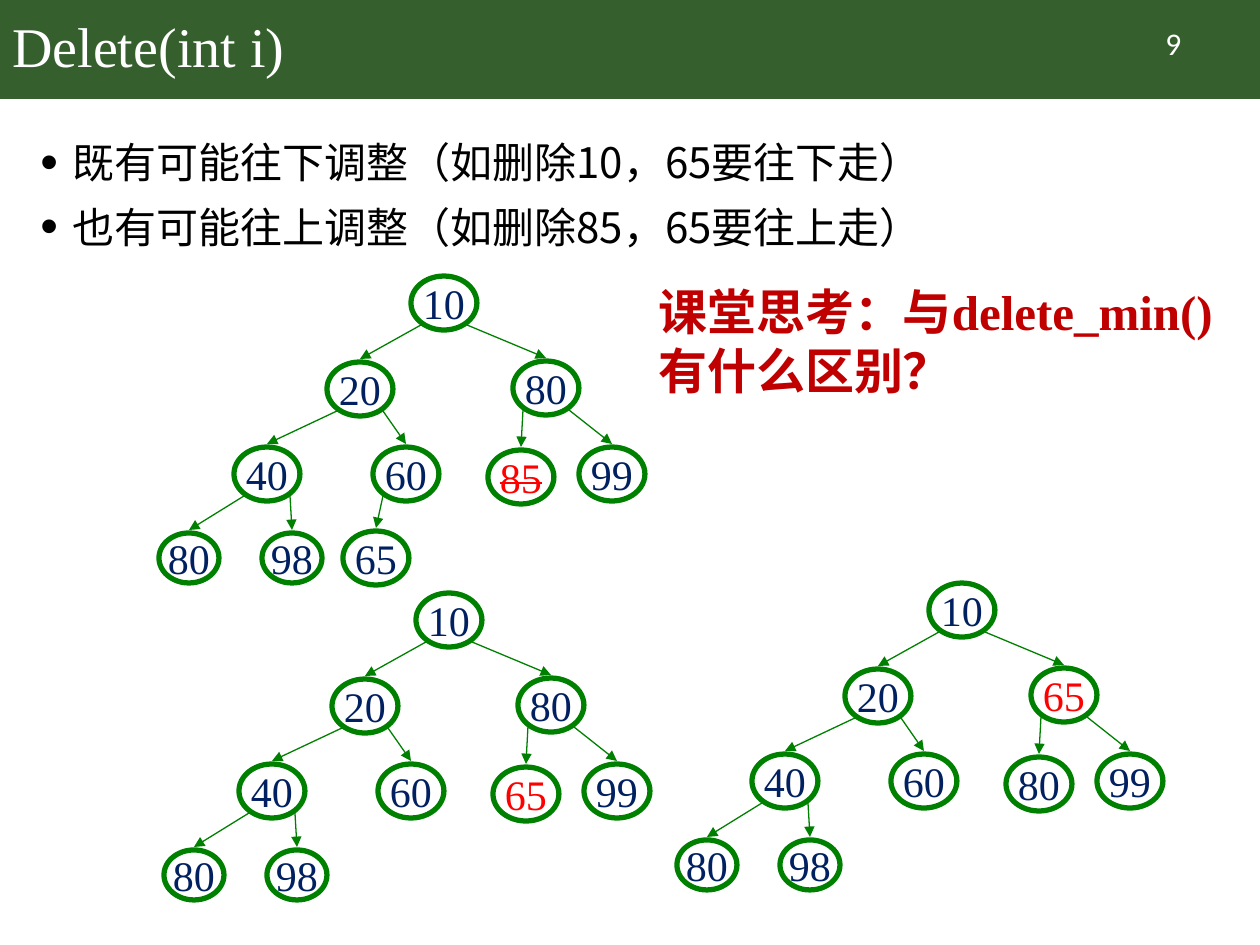
import pptx
import pptx.dml.color
import pptx.enum.shapes
import pptx.enum.text
import pptx.oxml.ns
import pptx.util
from lxml import etree

SCALE = 914400 / 126
HEADER_GREEN = pptx.dml.color.RGBColor(0x36, 0x5F, 0x2E)
NODE_GREEN = pptx.dml.color.RGBColor(0x00, 0x80, 0x00)
NAVY = pptx.dml.color.RGBColor(0x00, 0x20, 0x60)
RED = pptx.dml.color.RGBColor(0xFF, 0x00, 0x00)
DARK_RED = pptx.dml.color.RGBColor(0xC0, 0x00, 0x00)
BLACK = pptx.dml.color.RGBColor(0x00, 0x00, 0x00)
WHITE = pptx.dml.color.RGBColor(0xFF, 0xFF, 0xFF)
SERIF = "Times New Roman"
CJK = "Noto Sans CJK SC"
CENTER = pptx.enum.text.PP_ALIGN.CENTER
MIDDLE = pptx.enum.text.MSO_ANCHOR.MIDDLE

NODE_SIZE = (66, 54)
LEAF_SIZE = (60, 50)
SLOTS = {
    "root": (252, 0, NODE_SIZE),
    "left": (168, 86, NODE_SIZE),
    "right": (354, 85, NODE_SIZE),
    "left.left": (75, 171, NODE_SIZE),
    "left.right": (214, 171, NODE_SIZE),
    "right.left": (329, 174, NODE_SIZE),
    "right.right": (420, 171, NODE_SIZE),
    "left.left.left": (0, 257, LEAF_SIZE),
    "left.left.right": (103, 257, LEAF_SIZE),
    "left.right.left": (184, 255, NODE_SIZE),
}
FULL_HEAP = dict(zip(SLOTS, (10, 20, 80, 40, 60, 85, 99, 80, 98, 65)))
MOVED_HEAP = {slot: key for slot, key in FULL_HEAP.items() if slot != "left.right.left"}
MOVED_HEAP["right.left"] = 65
FINAL_HEAP = {**MOVED_HEAP, "right": 65, "right.left": 80}


def px(*lengths):
    """Turn pixel lengths into EMU."""
    return [pptx.util.Emu(round(length * SCALE)) for length in lengths]


def add_element(parent, tag, **attributes):
    """Append a DrawingML element to a parent."""
    element = etree.SubElement(parent, pptx.oxml.ns.qn(tag))
    for name, value in attributes.items():
        element.set(name, value)
    return element


def style(para, size, color, font=SERIF, bold=False):
    """Set the font of a whole paragraph."""
    para.font.size = pptx.util.Pt(size)
    para.font.bold = bold
    para.font.color.rgb = color
    para.font.name = font
    add_element(para._p.pPr.find(pptx.oxml.ns.qn("a:defRPr")), "a:ea", typeface=CJK)


def add_text(page, box, text, size, color, font=SERIF, bold=False):
    """Add a wrapped text box with one paragraph and return its frame."""
    frame = page.shapes.add_textbox(*px(*box)).text_frame
    frame.word_wrap = True
    frame.text = text
    style(frame.paragraphs[0], size, color, font, bold)
    return frame


def add_header(page, box, title, number):
    """Draw the title band with its page number."""
    left, top, width, height = box
    band = page.shapes.add_shape(pptx.enum.shapes.MSO_SHAPE.RECTANGLE, *px(*box))
    band.shadow.inherit = False
    band.fill.solid()
    band.fill.fore_color.rgb = HEADER_GREEN
    band.line.fill.background()
    frame = add_text(page, (left, top, width - 174, height), title, 32, WHITE)
    frame.vertical_anchor = MIDDLE
    frame.paragraphs[0].line_spacing = 0.9
    frame = add_text(page, (left + width - 162, top + 18, 151, 50), number, 18, WHITE, "Calibri")
    frame.paragraphs[0].alignment = CENTER


def add_bullets(page, box, lines):
    """Write the bulleted statements."""
    frame = page.shapes.add_textbox(*px(*box)).text_frame
    frame.word_wrap = True
    frame.text = "\n".join(lines)
    for para in frame.paragraphs:
        para.line_spacing = pptx.util.Pt(37)
        properties = para._p.get_or_add_pPr()
        indent, = px(32)
        properties.set("marL", str(indent))
        properties.set("indent", str(-indent))
        add_element(properties, "a:buSzPct", val="120000")
        add_element(properties, "a:buFont", typeface="Arial")
        add_element(properties, "a:buChar", char="•")
        style(para, 24, BLACK, CJK)


def add_node(page, box, key, color, struck):
    """Draw one ringed heap key."""
    node = page.shapes.add_shape(pptx.enum.shapes.MSO_SHAPE.OVAL, *px(*box))
    node.shadow.inherit = False
    node.fill.background()
    node.line.color.rgb = NODE_GREEN
    node.line.width = pptx.util.Pt(3)
    frame = node.text_frame
    frame.word_wrap = False
    frame.vertical_anchor = MIDDLE
    frame.text = str(key)
    para = frame.paragraphs[0]
    para.alignment = CENTER
    style(para, 24, color)
    if struck:
        para.runs[0].font._element.set("strike", "sngStrike")


def add_edge(page, start, end):
    """Draw an arrow from a parent to a child."""
    edge = page.shapes.add_connector(
        pptx.enum.shapes.MSO_CONNECTOR.STRAIGHT, *px(*start, *end))
    edge.line.color.rgb = NODE_GREEN
    edge.line.width = pptx.util.Pt(0.75)
    add_element(edge.line._get_or_add_ln(), "a:tailEnd", type="triangle")
    add_element(edge._element.spPr, "a:effectLst")


def add_heap(page, origin, heap, red_slot, struck=False):
    """Draw a heap whose slots are offsets from its origin."""
    left, top = origin
    for slot, key in heap.items():
        x, y, (width, height) = SLOTS[slot]
        is_red = slot == red_slot
        add_node(page, (left + x, top + y, width, height), key,
                 RED if is_red else NAVY, struck and is_red)
        if slot == "root":
            continue
        parent, _, side = slot.rpartition(".")
        parent_x, parent_y, _ = SLOTS[parent or "root"]
        start_x = parent_x + (10 if side == "left" else 56)
        add_edge(page, (left + start_x, top + parent_y + 49),
                 (left + x + width / 2, top + y - 3))


def main():
    """Build and save the slide."""
    deck = pptx.Presentation()
    deck.slide_width, deck.slide_height = px(1260, 945)
    page = deck.slides.add_slide(deck.slide_layouts[6])
    add_header(page, (0, 0, 1260, 99), "Delete(int i)", "9")
    add_bullets(page, (28, 116, 1206, 150), [
        "既有可能往下调整（如删除10，65要往下走）",
        "也有可能往上调整（如删除85，65要往上走）",
    ])
    add_heap(page, (159, 276), FULL_HEAP, "right.left", struck=True)
    add_heap(page, (164, 593), MOVED_HEAP, "right.left")
    add_heap(page, (677, 583), FINAL_HEAP, "right")
    add_text(page, (646, 275, 602, 131), "课堂思考：与delete_min() 有什么区别？",
             28, DARK_RED, bold=True)
    deck.save("out.pptx")


if __name__ == "__main__":
    main()
